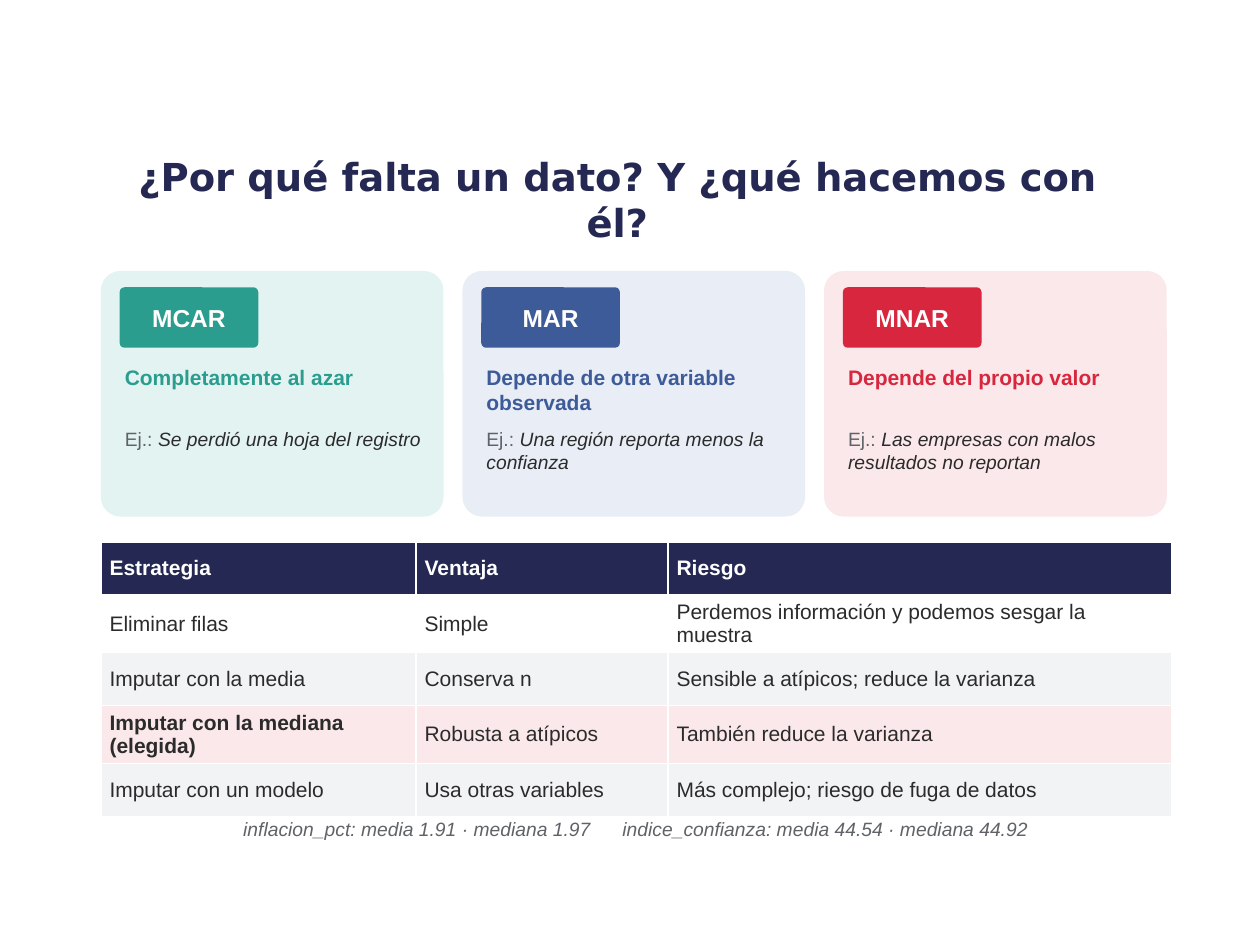
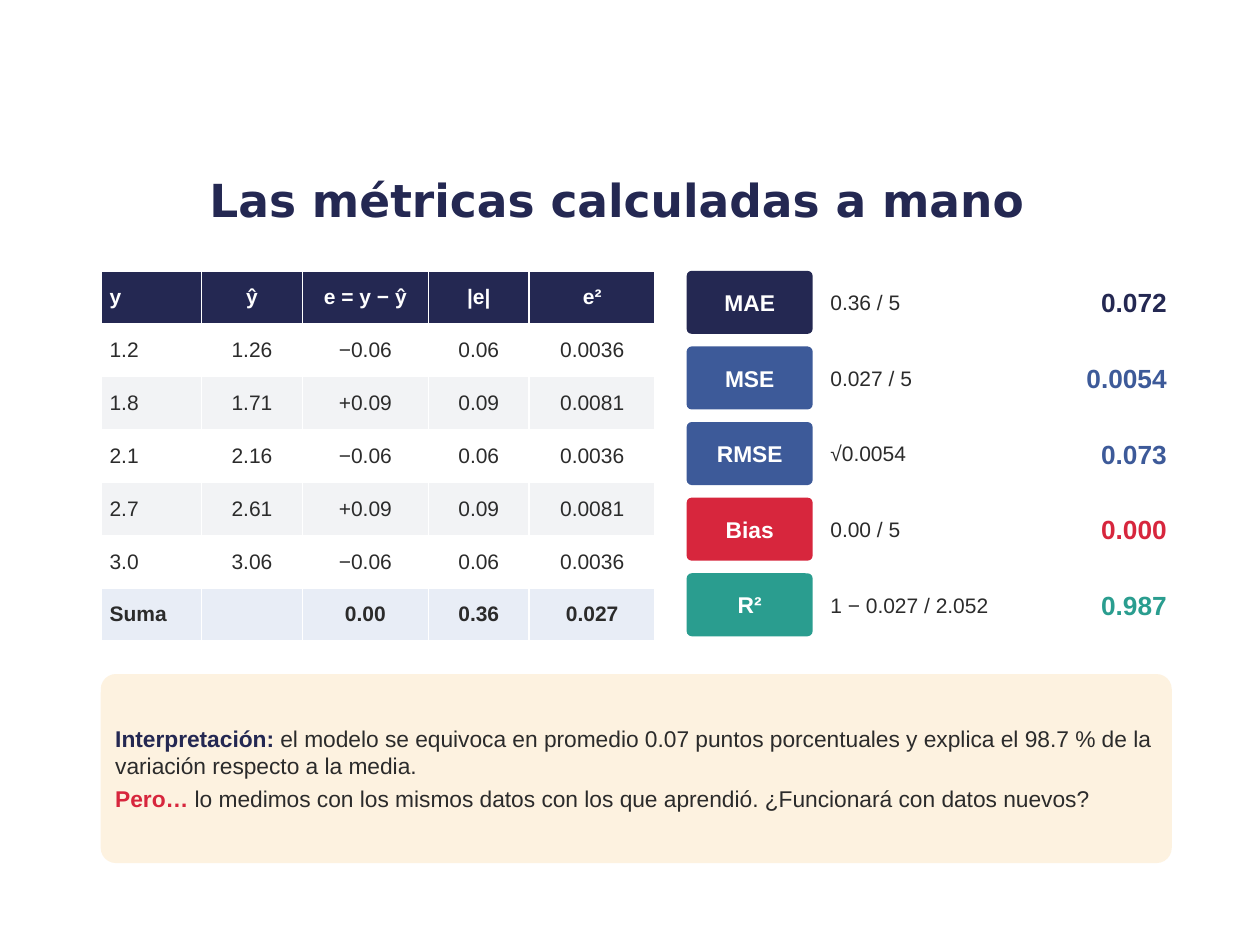
from lxml import etree
from pptx import Presentation
from pptx.dml.color import RGBColor
from pptx.enum import shapes, text
from pptx.oxml import ns
from pptx.util import Inches, Pt

COLORS = {
    "navy": "242852", "blue": "3D5A99", "teal": "2A9D8F", "red": "D7263D",
    "ink": "2B2B2B", "muted": "5F6368", "white": "FFFFFF", "band": "F2F3F5",
    "pale_teal": "E3F3F1", "pale_blue": "E8EDF6", "pale_red": "FBE8EA",
    "cream": "FDF2E0",
}
BODY_FONT, TITLE_FONT = "Arial", "DejaVu Sans"
LEFT, CONTENT_TOP, CONTENT_WIDTH = 0.8, 2.15, 8.5
ROW_HEIGHT = 0.42
ALIGN = text.PP_ALIGN
MIDDLE = text.MSO_ANCHOR.MIDDLE

MECHANISMS = [
    ("MCAR", "teal", "pale_teal", "Completamente al azar",
     "Se perdió una hoja del registro"),
    ("MAR", "blue", "pale_blue", "Depende de otra variable observada",
     "Una región reporta menos la confianza"),
    ("MNAR", "red", "pale_red", "Depende del propio valor",
     "Las empresas con malos resultados no reportan"),
]
STRATEGIES = [
    ("Estrategia", "Ventaja", "Riesgo"),
    ("Eliminar filas", "Simple",
     "Perdemos información y podemos sesgar la muestra"),
    ("Imputar con la media", "Conserva n",
     "Sensible a atípicos; reduce la varianza"),
    ("Imputar con la mediana (elegida)", "Robusta a atípicos",
     "También reduce la varianza"),
    ("Imputar con un modelo", "Usa otras variables",
     "Más complejo; riesgo de fuga de datos"),
]
ERRORS = [
    ("y", "ŷ", "e = y − ŷ", "|e|", "e²"),
    ("1.2", "1.26", "−0.06", "0.06", "0.0036"),
    ("1.8", "1.71", "+0.09", "0.09", "0.0081"),
    ("2.1", "2.16", "−0.06", "0.06", "0.0036"),
    ("2.7", "2.61", "+0.09", "0.09", "0.0081"),
    ("3.0", "3.06", "−0.06", "0.06", "0.0036"),
    ("Suma", "", "0.00", "0.36", "0.027"),
]
METRICS = [
    ("MAE", "navy", "0.36 / 5", "0.072"),
    ("MSE", "blue", "0.027 / 5", "0.0054"),
    ("RMSE", "blue", "√0.0054", "0.073"),
    ("Bias", "red", "0.00 / 5", "0.000"),
    ("R²", "teal", "1 − 0.027 / 2.052", "0.987"),
]


def rgb(name):
    return RGBColor.from_string(COLORS[name])


def write(paragraph, words, size=12, color="ink", bold=False, italic=False,
          font=BODY_FONT, align=ALIGN.LEFT, after=0):
    paragraph.alignment = align
    paragraph.space_after = Pt(after)
    run = paragraph.add_run()
    run.text = words
    run.font.size = Pt(size)
    run.font.name = font
    run.font.bold = bold
    run.font.italic = italic
    run.font.color.rgb = rgb(color)


def set_frame(frame, side, edge, anchor):
    frame.word_wrap = True
    frame.vertical_anchor = anchor
    frame.margin_left = frame.margin_right = Inches(side)
    frame.margin_top = frame.margin_bottom = Inches(edge)


def add_label(slide, box, words="", anchor=text.MSO_ANCHOR.TOP,
              side=0.04, edge=0.04, after=4, **style):
    frame = slide.shapes.add_textbox(*map(Inches, box)).text_frame
    set_frame(frame, side, edge, anchor)
    if words:
        write(frame.paragraphs[0], words, after=after, **style)
    return frame.paragraphs[0]


def add_panel(slide, box, fill):
    panel = slide.shapes.add_shape(
        shapes.MSO_SHAPE.ROUNDED_RECTANGLE, *map(Inches, box))
    panel.adjustments[0] = 0.08
    panel.shadow.inherit = False
    panel.fill.solid()
    panel.fill.fore_color.rgb = rgb(fill)
    panel.line.fill.background()
    set_frame(panel.text_frame, 0.08, 0.08, MIDDLE)
    return panel.text_frame


def add_badge(slide, box, name, fill, size):
    badge = add_panel(slide, box, fill)
    write(badge.paragraphs[0], name, size=size, color="white", bold=True,
          align=ALIGN.CENTER, after=3)


def add_title(slide, words, size):
    add_label(slide, (0.75, 1.18, 8.3, 0.8), words, MIDDLE, 0.1, 0.05, 0,
              size=size, color="navy", bold=True, font=TITLE_FONT,
              align=ALIGN.CENTER)


def add_grid(slide, top, widths, rows, highlight, bold_cells,
             align=ALIGN.LEFT):
    grid = slide.shapes.add_table(
        len(rows), len(widths), Inches(LEFT), Inches(top),
        Inches(sum(widths)), Inches(ROW_HEIGHT * len(rows))).table
    grid.horz_banding = False
    for column, width in zip(grid.columns, widths):
        column.width = Inches(width)
    for r, row in enumerate(rows):
        grid.rows[r].height = Inches(ROW_HEIGHT)
        fill = "band" if r % 2 == 0 else "white"
        fill = {0: "navy", **highlight}.get(r, fill)
        for c, words in enumerate(row):
            cell = grid.cell(r, c)
            cell.fill.solid()
            cell.fill.fore_color.rgb = rgb(fill)
            cell.vertical_anchor = MIDDLE
            cell.margin_left = cell.margin_right = Inches(0.07)
            cell.margin_top = cell.margin_bottom = Inches(0.03)
            if words:
                write(cell.text_frame.paragraphs[0], words,
                      color="ink" if r else "white",
                      bold=r == 0 or (r, c) in bold_cells,
                      align=align if c else ALIGN.LEFT)


def add_mechanism(slide, left, name, color, tint, cause, example):
    add_panel(slide, (left, CONTENT_TOP, 2.72, 1.95), tint)
    inner = left + 0.15
    add_badge(slide, (inner, 2.28, 1.1, 0.48), name, color, 14)
    add_label(slide, (inner, 2.85, 2.45, 0.5), cause, color=color, bold=True)
    line = add_label(slide, (inner, 3.35, 2.45, 0.7), "Ej.: ",
                     size=11, color="muted")
    write(line, example, size=11, italic=True, after=4)


def add_metric(slide, top, name, color, formula, value):
    add_badge(slide, (5.45, top, 1, 0.5), name, color, 13)
    add_label(slide, (6.55, top, 1.75, 0.5), formula, MIDDLE)
    add_label(slide, (8.2, top, 1.1, 0.5), value, MIDDLE, size=15,
              color=color, bold=True, align=ALIGN.RIGHT)


def add_statistics(slide):
    line = add_label(slide, (1.89, 6.45, 6.4, 0.4))
    stops = etree.SubElement(line._p.get_or_add_pPr(), ns.qn("a:tabLst"))
    etree.SubElement(stops, ns.qn("a:tab"), pos=str(Inches(3.01)), algn="l")
    write(line, "inflacion_pct: media 1.91 · mediana 1.97\t"
          "indice_confianza: media 44.54 · mediana 44.92",
          size=11, color="muted", italic=True, after=4)


def build_missing_data(slide):
    add_title(slide, "¿Por qué falta un dato? Y ¿qué hacemos con él?", 22)
    for i, mechanism in enumerate(MECHANISMS):
        add_mechanism(slide, LEFT + 2.87 * i, *mechanism)
    add_grid(slide, 4.3, (2.5, 2, 4), STRATEGIES, {3: "pale_red"}, {(3, 0)})
    add_statistics(slide)


def build_metrics(slide):
    add_title(slide, "Las métricas calculadas a mano", 26)
    total = len(ERRORS) - 1
    add_grid(slide, CONTENT_TOP, (0.8, 0.8, 1, 0.8, 1), ERRORS,
             {total: "pale_blue"}, {(total, c) for c in range(5)},
             ALIGN.CENTER)
    for i, metric in enumerate(METRICS):
        add_metric(slide, CONTENT_TOP + 0.6 * i, *metric)
    reading = add_panel(slide, (LEFT, 5.35, CONTENT_WIDTH, 1.5), "cream")
    remarks = [
        ("Interpretación: ", "navy",
         "el modelo se equivoca en promedio 0.07 puntos porcentuales y "
         "explica el 98.7 % de la variación respecto a la media."),
        ("Pero… ", "red",
         "lo medimos con los mismos datos con los que aprendió. "
         "¿Funcionará con datos nuevos?"),
    ]
    for i, (lead, color, remark) in enumerate(remarks):
        line = reading.add_paragraph() if i else reading.paragraphs[0]
        write(line, lead, size=13, color=color, bold=True, after=3)
        write(line, remark, size=13, after=3)


def main():
    deck = Presentation()
    deck.slide_width, deck.slide_height = Inches(10), Inches(7.5)
    for build in (build_missing_data, build_metrics):
        build(deck.slides.add_slide(deck.slide_layouts[6]))
    deck.save("out.pptx")


if __name__ == "__main__":
    main()
